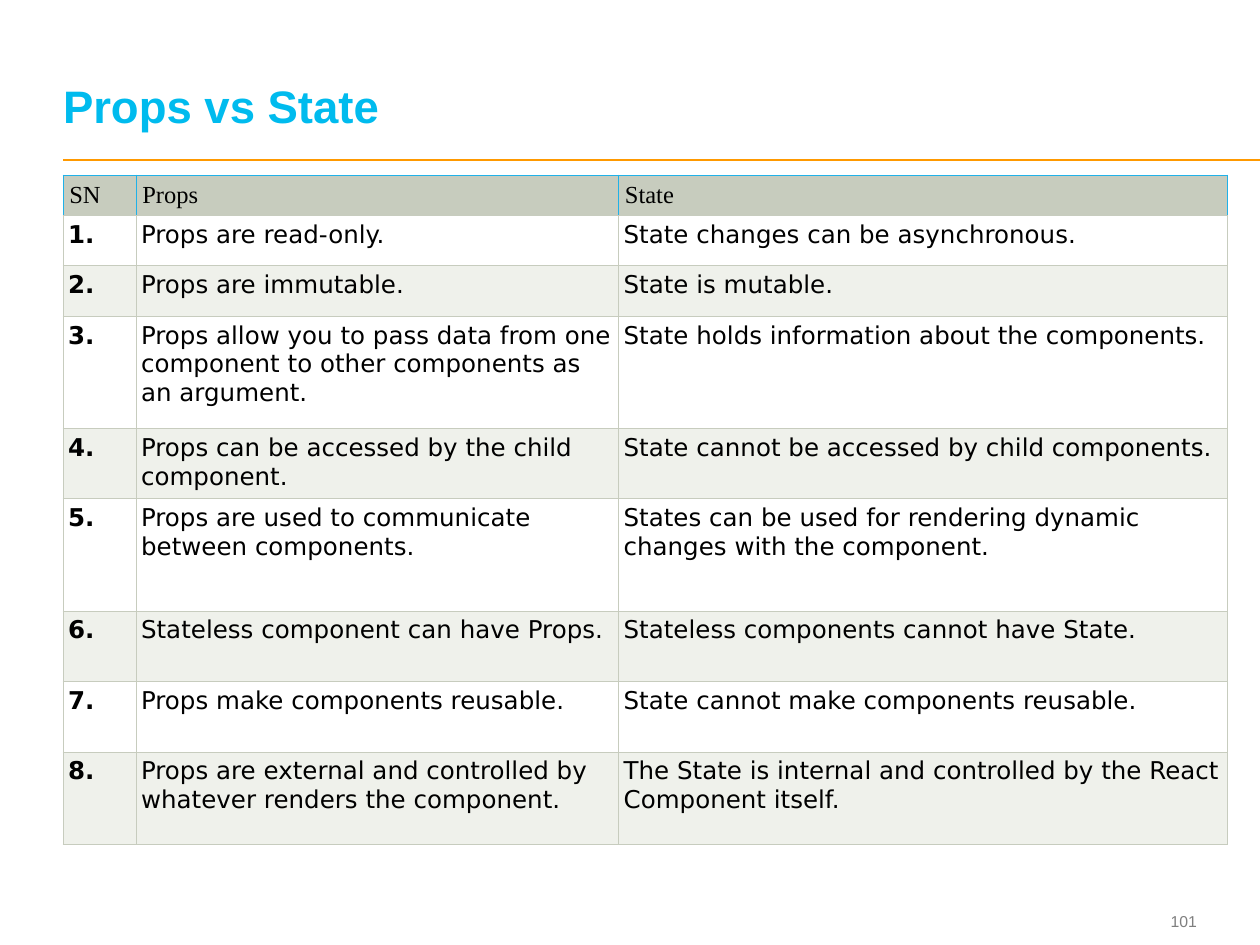
import pptx
import pptx.dml.color
import pptx.enum.shapes
import pptx.enum.text
import pptx.oxml.ns
import pptx.util
from lxml import etree
from dataclasses import dataclass

# Content
TITLE = "Props vs State"
PAGE_NUMBER = "101"
HEADER = ("SN", "Props", "State")
ROWS = [
    ("Props are read-only.", "State changes can be asynchronous."),
    ("Props are immutable.", "State is mutable."),
    ("Props allow you to pass data from one component to other components as an argument.",
     "State holds information about the components."),
    ("Props can be accessed by the child component.",
     "State cannot be accessed by child components."),
    ("Props are used to communicate between components.",
     "States can be used for rendering dynamic changes with the component."),
    ("Stateless component can have Props.", "Stateless components cannot have State."),
    ("Props make components reusable.", "State cannot make components reusable."),
    ("Props are external and controlled by whatever renders the component.",
     "The State is internal and controlled by the React Component itself."),
]


@dataclass(frozen=True)
class Theme:
    title: str = "00BBEE"
    rule: str = "FF9900"
    number: str = "7F7F7F"
    text: str = "000000"
    head_fill: str = "C7CCBE"
    head_border: str = "20B1E8"
    border: str = "C7CCBE"
    bands: tuple = ("FFFFFF", "EFF1EB")
    heading_font: str = "Arial"
    head_font: str = "Times New Roman"
    body_font: str = "DejaVu Sans"
    title_size: int = 26
    table_size: int = 14
    number_size: int = 9
    border_width: float = 0.6


THEME = Theme()

# Grid, in inches
WIDTH, HEIGHT = 10, 7.5
LEFT = 0.05 * WIDTH
RULE_TOP = 1.27
TABLE_TOP = 1.39
COLUMNS = (0.58, 3.83, 4.83)
HEAD_HEIGHT = 0.32
ROW_HEIGHTS = (0.4, 0.4, 0.89, 0.56, 0.89, 0.56, 0.56, 0.73)
HEAD_INSET, BODY_INSET = 0.05, 0.04

inches = pptx.util.Inches
qn = pptx.oxml.ns.qn


def rgb(value):
    return pptx.dml.color.RGBColor.from_string(value)


def write(frame, text, *, font, size, color, bold=False, align=None, spacing=None):
    para = frame.paragraphs[0]
    para.alignment = align
    if spacing:
        para.line_spacing = pptx.util.Pt(spacing)
    span = para.add_run()
    span.text = text
    span.font.name = font
    span.font.size = pptx.util.Pt(size)
    span.font.bold = bold
    span.font.color.rgb = rgb(color)


def clear_frame(frame, anchor):
    frame.word_wrap = True
    frame.auto_size = pptx.enum.text.MSO_AUTO_SIZE.NONE
    frame.vertical_anchor = anchor
    frame.margin_left = frame.margin_top = frame.margin_right = frame.margin_bottom = 0


def set_borders(cell, side_color, bottom_color):
    properties = cell._tc.get_or_add_tcPr()
    sides = (("lnL", side_color), ("lnR", side_color),
             ("lnT", side_color), ("lnB", bottom_color))
    for position, (side, color) in enumerate(sides):
        line = etree.Element(qn("a:" + side), w=str(pptx.util.Pt(THEME.border_width)))
        fill = etree.SubElement(line, qn("a:solidFill"))
        etree.SubElement(fill, qn("a:srgbClr"), val=color)
        properties.insert(position, line)


def fill_cell(cell, text, *, fill, inset, side_color, **text_format):
    cell.margin_left = cell.margin_top = inches(inset)
    cell.margin_right = cell.margin_bottom = inches(inset)
    cell.fill.solid()
    cell.fill.fore_color.rgb = rgb(fill)
    set_borders(cell, side_color, THEME.border)
    write(cell.text_frame, text, size=THEME.table_size, color=THEME.text, **text_format)


def add_rule(page):
    rule = page.shapes.add_connector(
        pptx.enum.shapes.MSO_CONNECTOR.STRAIGHT,
        inches(LEFT), inches(RULE_TOP), inches(WIDTH), inches(RULE_TOP))
    rule.line.color.rgb = rgb(THEME.rule)
    rule.line.width = pptx.util.Pt(1)
    etree.SubElement(rule._element.spPr, qn("a:effectLst"))


def add_page_number(page):
    box = page.shapes.add_textbox(inches(8.91), inches(7.18), inches(0.59), inches(0.27))
    clear_frame(box.text_frame, pptx.enum.text.MSO_ANCHOR.MIDDLE)
    write(box.text_frame, PAGE_NUMBER, font=THEME.heading_font, size=THEME.number_size,
          color=THEME.number, align=pptx.enum.text.PP_ALIGN.RIGHT)


def place_title(page):
    title = page.shapes.title
    title.left, title.top = inches(LEFT), inches(0.19)
    title.width, title.height = inches(8.97), inches(0.86)
    clear_frame(title.text_frame, pptx.enum.text.MSO_ANCHOR.BOTTOM)
    write(title.text_frame, TITLE, font=THEME.heading_font, size=THEME.title_size,
          color=THEME.title, bold=True, align=pptx.enum.text.PP_ALIGN.LEFT,
          spacing=THEME.title_size)


def add_comparison(page):
    heights = (HEAD_HEIGHT, *ROW_HEIGHTS)
    table = page.shapes.add_table(
        len(heights), len(COLUMNS), inches(LEFT), inches(TABLE_TOP),
        inches(sum(COLUMNS)), inches(sum(heights))).table
    for column, width in zip(table.columns, COLUMNS):
        column.width = inches(width)
    for row, height in zip(table.rows, heights):
        row.height = inches(height)

    for column, text in enumerate(HEADER):
        fill_cell(table.cell(0, column), text, fill=THEME.head_fill, inset=HEAD_INSET,
                  side_color=THEME.head_border, font=THEME.head_font)
    for number, pair in enumerate(ROWS, start=1):
        for column, text in enumerate((f"{number}.", *pair)):
            fill_cell(table.cell(number, column), text,
                      fill=THEME.bands[(number - 1) % 2], inset=BODY_INSET,
                      side_color=THEME.border, font=THEME.body_font, bold=column == 0)


def main():
    deck = pptx.Presentation()
    deck.slide_width, deck.slide_height = inches(WIDTH), inches(HEIGHT)
    page = deck.slides.add_slide(deck.slide_layouts[5])
    add_rule(page)
    add_page_number(page)
    place_title(page)
    add_comparison(page)
    deck.save("out.pptx")


if __name__ == "__main__":
    main()
